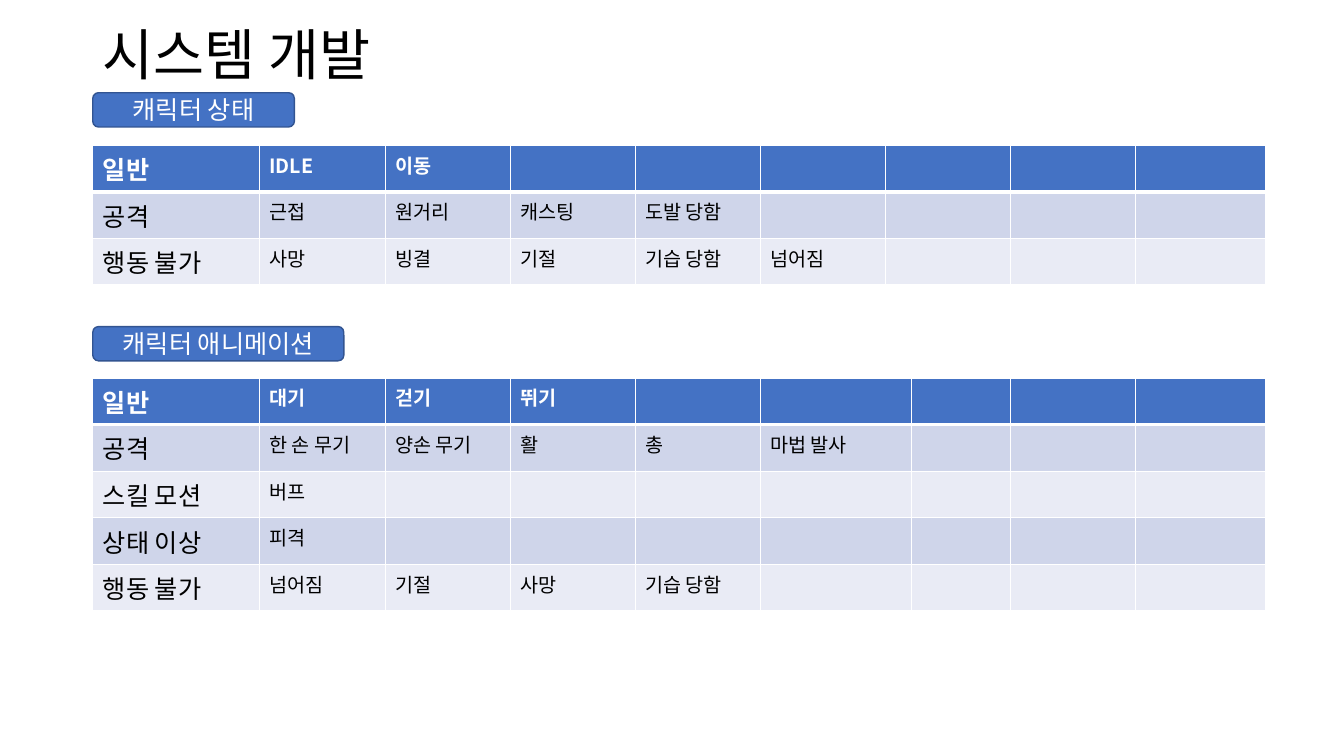
from lxml.etree import SubElement
from pptx import Presentation
from pptx.dml.color import RGBColor
from pptx.enum.shapes import MSO_SHAPE as Shape
from pptx.enum.text import MSO_ANCHOR as Anchor, MSO_AUTO_SIZE as AutoSize, PP_ALIGN as Align
from pptx.oxml.ns import qn
from pptx.util import Inches, Pt

COLORS = {
    "black": "000000",
    "white": "FFFFFF",
    "blue": "4472C4",
    "outline": "325491",
    "odd": "CFD5EA",
    "even": "E9EBF5",
}
FONT = "Noto Sans CJK KR"
LEFT = 0.92
ROW_HEIGHT = 0.46
COLUMN_COUNT = 9


def color(name):
    return RGBColor.from_string(COLORS[name])


class SlideBuilder:
    def __init__(self, deck):
        self.slide = deck.slides.add_slide(deck.slide_layouts[5])

    def style(self, para, size, tint, bold=False):
        font = para.font
        font.size, font.bold, font.name = Pt(size), bold, FONT
        font.color.rgb = color(tint)
        # East Asian typeface for the Korean text
        SubElement(font._element, qn("a:ea"), typeface=FONT)

    def title(self, text, left, top, width, height):
        box = self.slide.shapes.title
        box.left, box.top = Inches(left), Inches(top)
        box.width, box.height = Inches(width), Inches(height)
        frame = box.text_frame
        frame.text = text
        frame.auto_size = AutoSize.NONE
        frame.vertical_anchor = Anchor.MIDDLE
        para = frame.paragraphs[0]
        para.alignment, para.line_spacing = Align.LEFT, 0.9
        self.style(para, 39.6, "black")

    def label(self, text, top, width):
        box = self.slide.shapes.add_shape(
            Shape.ROUNDED_RECTANGLE, Inches(LEFT), Inches(top), Inches(width), Inches(0.34))
        box.shadow.inherit = False
        box.fill.solid()
        box.fill.fore_color.rgb = color("blue")
        box.line.color.rgb = color("outline")
        box.line.width = Pt(1)
        frame = box.text_frame
        frame.text = text
        frame.vertical_anchor = Anchor.MIDDLE
        para = frame.paragraphs[0]
        para.alignment = Align.CENTER
        self.style(para, 18, "white")

    def borders(self, cell, top, bottom):
        properties = cell._tc.get_or_add_tcPr()
        for side, width in (("L", 1), ("R", 1), ("T", top), ("B", bottom)):
            line = SubElement(properties, qn(f"a:ln{side}"), w=str(Pt(width)))
            fill = SubElement(line, qn("a:solidFill"))
            SubElement(fill, qn("a:srgbClr"), val=COLORS["white"])

    def table(self, rows, top, widths):
        frame = self.slide.shapes.add_table(
            len(rows), COLUMN_COUNT, Inches(LEFT), Inches(top),
            Inches(sum(widths)), Inches(ROW_HEIGHT * len(rows)))
        table = frame.table
        for column, width in zip(table.columns, widths):
            column.width = Inches(width)
        for r, words in enumerate(rows):
            table.rows[r].height = Inches(ROW_HEIGHT)
            header = r == 0
            shade = "blue" if header else "odd" if r % 2 else "even"
            for c in range(COLUMN_COUNT):
                cell = table.cell(r, c)
                self.borders(cell, 3 if r == 1 else 1, 3 if header else 1)
                cell.fill.solid()
                cell.fill.fore_color.rgb = color(shade)
                if c < len(words):
                    cell.text = words[c]
                    self.style(cell.text_frame.paragraphs[0], 14 if c else 18,
                               "white" if header else "black", header)


def main():
    deck = Presentation()
    deck.slide_width, deck.slide_height = Inches(13.33), Inches(7.5)
    page = SlideBuilder(deck)
    page.title("시스템 개발", LEFT, 0.4, 9.14, 0.35)

    # Character states
    page.label("캐릭터 상태", 0.92, 2)
    page.table([
        ["일반", "IDLE", "이동"],
        ["공격", "근접", "원거리", "캐스팅", "도발 당함"],
        ["행동 불가", "사망", "빙결", "기절", "기습 당함", "넘어짐"],
    ], 1.44, [1.65, 1.25] + [1.24] * 6 + [1.29])

    # Character animations
    page.label("캐릭터 애니메이션", 3.24, 2.49)
    page.table([
        ["일반", "대기", "걷기", "뛰기"],
        ["공격", "한 손 무기", "양손 무기", "활", "총", "마법 발사"],
        ["스킬 모션", "버프"],
        ["상태 이상", "피격"],
        ["행동 불가", "넘어짐", "기절", "사망", "기습 당함"],
    ], 3.75, [1.65, 1.25] + [1.24] * 3 + [1.5, 0.98, 1.24, 1.29])

    deck.save("out.pptx")


if __name__ == "__main__":
    main()
